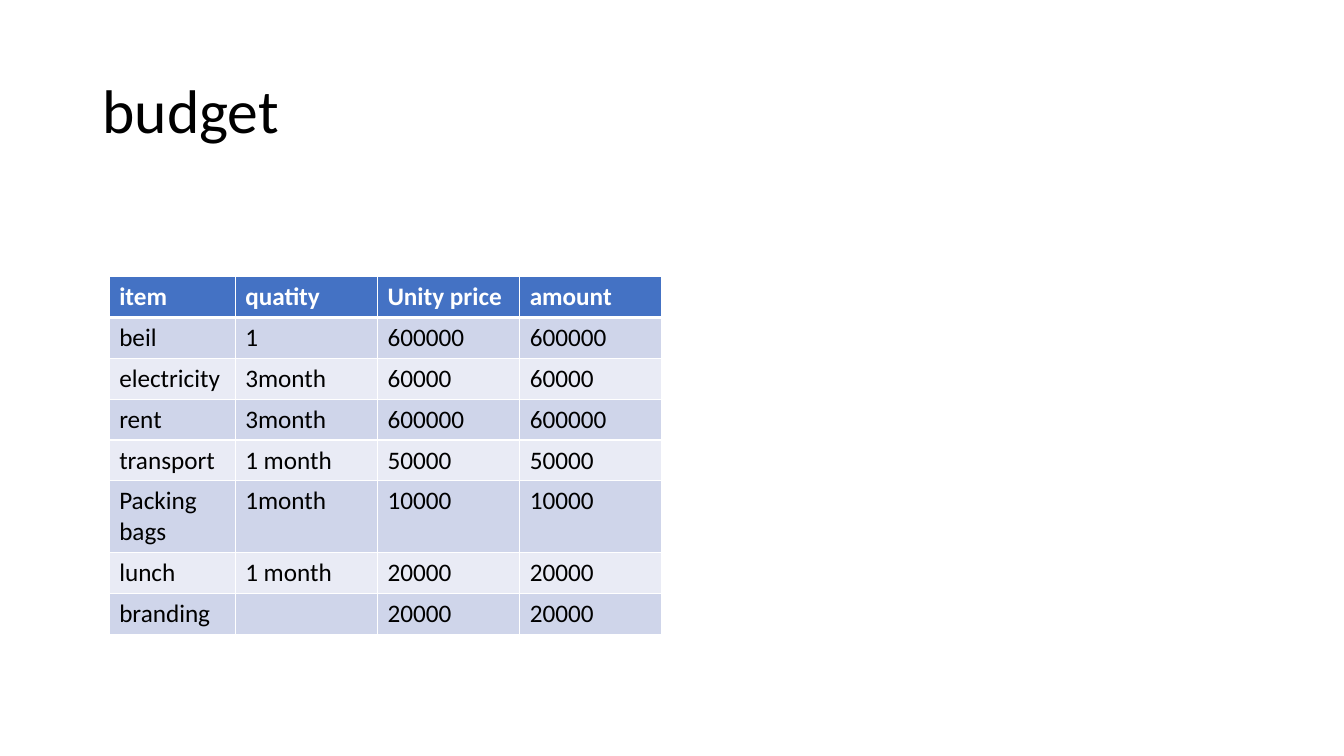
from lxml.etree import SubElement
from pptx import Presentation
from pptx.dml.color import RGBColor
from pptx.enum.text import MSO_ANCHOR as Anchor, PP_ALIGN as Align
from pptx.oxml.ns import qn
from pptx.util import Pt

BLACK = RGBColor(0x00, 0x00, 0x00)
WHITE = RGBColor(0xFF, 0xFF, 0xFF)
BLUE = RGBColor(0x44, 0x72, 0xC4)
DARK = RGBColor(0xCF, 0xD5, 0xEA)
LIGHT = RGBColor(0xE9, 0xEB, 0xF5)

WIDTHS = [90, 101.6, 101.6, 101.6]
ROW = 29.2
BUDGET = [
    ("item", "quatity", "Unity price", "amount"),
    ("beil", "1", "600000", "600000"),
    ("electricity", "3month", "60000", "60000"),
    ("rent", "3month", "600000", "600000"),
    ("transport", "1 month", "50000", "50000"),
    ("Packing bags", "1month", "10000", "10000"),
    ("lunch", "1 month", "20000", "20000"),
    ("branding", "", "20000", "20000"),
]


class Deck:
    font = "Calibri"

    def __init__(self, slide):
        self.slide = slide

    def add_text(self, para, text, size, color, bold=False):
        run = para.add_run()
        run.text = text
        font = run.font
        font.name, font.size, font.bold = self.font, Pt(size), bold
        font.color.rgb = color

    def title(self, text, left, top, width, height):
        box = self.slide.shapes.title
        box.left, box.top = Pt(left), Pt(top)
        box.width, box.height = Pt(width), Pt(height)
        box.text_frame.vertical_anchor = Anchor.MIDDLE
        para = box.text_frame.paragraphs[0]
        para.alignment = Align.LEFT
        para.line_spacing = 0.9
        self.add_text(para, text, 44, BLACK)

    def border(self, cell, head):
        """Draw white cell edges, thicker below the header row."""
        props = cell._tc.get_or_add_tcPr()
        for side in "LRTB":
            wide = 3 if head and side == "B" else 1
            line = SubElement(props, qn(f"a:ln{side}"), w=str(Pt(wide)))
            fill = SubElement(line, qn("a:solidFill"))
            SubElement(fill, qn("a:srgbClr"), val=str(WHITE))

    def table(self, rows, widths, left, top, height):
        frame = self.slide.shapes.add_table(
            len(rows), len(widths), Pt(left), Pt(top),
            Pt(sum(widths)), Pt(height * len(rows)))
        grid = frame.table
        for col, width in zip(grid.columns, widths):
            col.width = Pt(width)
        for i, row in enumerate(rows):
            grid.rows[i].height = Pt(height)
            head = i == 0
            back = BLUE if head else DARK if i % 2 else LIGHT
            for j, text in enumerate(row):
                cell = grid.cell(i, j)
                self.border(cell, head)
                cell.fill.solid()
                cell.fill.fore_color.rgb = back
                para = cell.text_frame.paragraphs[0]
                if text:
                    self.add_text(para, text, 18, WHITE if head else BLACK, head)
                else:
                    para.font.size = Pt(18)


def main():
    prs = Presentation()
    prs.slide_width, prs.slide_height = Pt(960), Pt(540)
    deck = Deck(prs.slides.add_slide(prs.slide_layouts[5]))
    deck.title("budget", 66, 28.75, 828, 104.4)
    deck.table(BUDGET, WIDTHS, 78, 197.5, ROW)
    prs.save("out.pptx")


if __name__ == "__main__":
    main()
